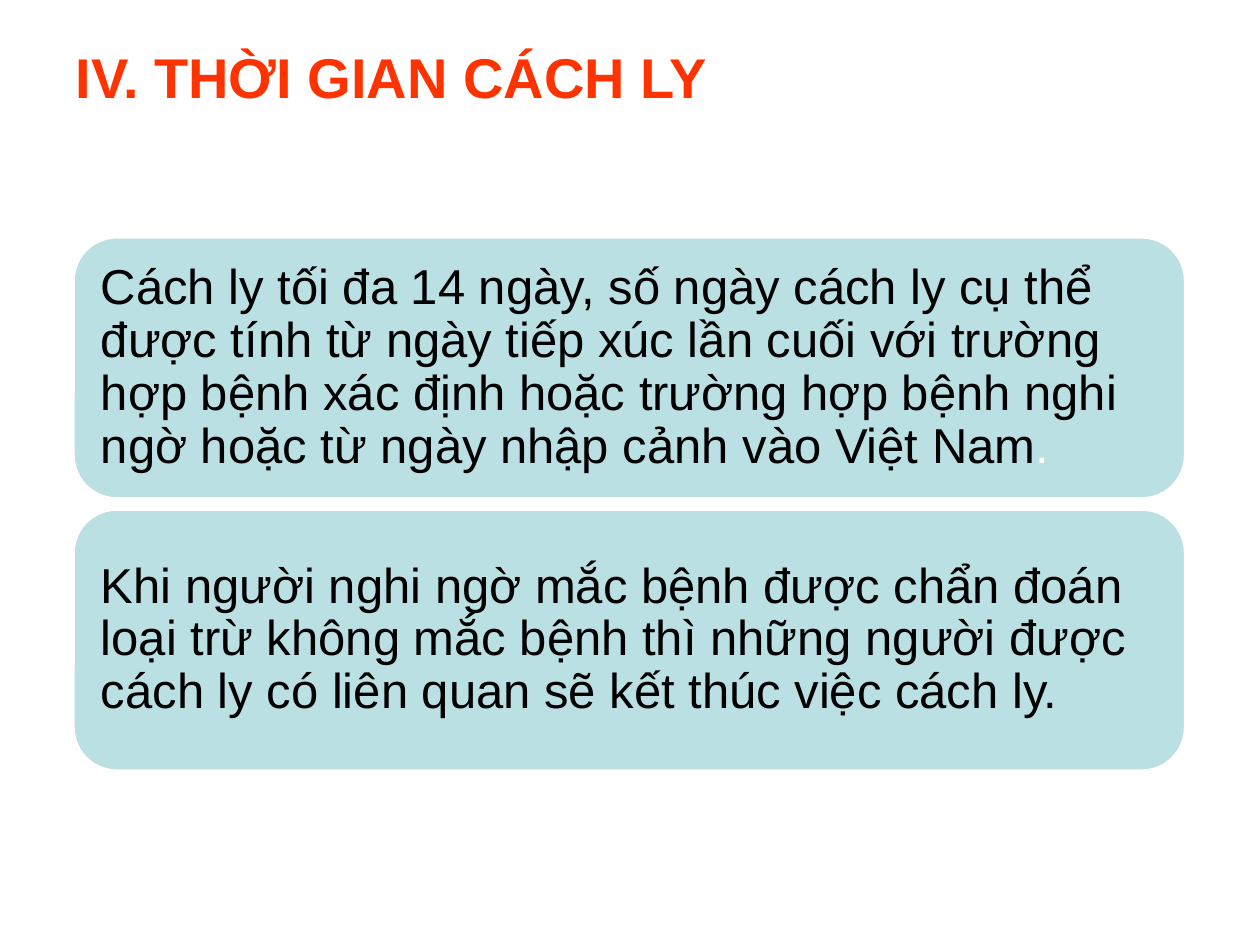
from dataclasses import dataclass

from pptx import Presentation
from pptx.dml.color import RGBColor
from pptx.enum.shapes import MSO_SHAPE
from pptx.enum.text import MSO_ANCHOR, PP_ALIGN
from pptx.util import Inches, Pt


@dataclass(frozen=True)
class Theme:
    """Colours, type sizes and font of the slide."""
    font: str = "Arial"
    heading: str = "FF3300"
    ink: str = "000000"
    panel: str = "BBE0E3"
    white: str = "FFFFFF"
    heading_size: int = 32
    body_size: int = 28
    outline: int = 2


THEME = Theme()
TITLE = "IV. THỜI GIAN CÁCH LY"
PANELS = [
    [("Cách ly tối đa 14 ngày, số ngày cách ly cụ thể được tính từ ngày tiếp xúc "
      "lần cuối với trường hợp bệnh xác định hoặc trường hợp bệnh nghi ngờ hoặc "
      "từ ngày nhập cảnh vào Việt Nam", THEME.ink), (".", THEME.white)],
    [("Khi người nghi ngờ mắc bệnh được chẩn đoán loại trừ không mắc bệnh thì "
      "những người được cách ly có liên quan sẽ kết thúc việc cách ly.", THEME.ink)],
]


def add_span(para, text, size, color, bold=False):
    """Append one formatted run to a paragraph."""
    span = para.add_run()
    span.text = text
    span.font.name = THEME.font
    span.font.size = Pt(size)
    span.font.bold = bold
    span.font.color.rgb = RGBColor.from_string(color)


def place_title(page, left, top, width, height):
    """Place the heading in the title placeholder."""
    title = page.shapes.title
    title.left, title.top = Inches(left), Inches(top)
    title.width, title.height = Inches(width), Inches(height)
    frame = title.text_frame
    frame.word_wrap = True
    frame.vertical_anchor = MSO_ANCHOR.TOP
    frame.margin_top = Inches(0.04)
    para = frame.paragraphs[0]
    para.alignment = PP_ALIGN.LEFT
    add_span(para, TITLE, THEME.heading_size, THEME.heading, bold=True)


def place_panel(page, spans, left, top, width, height):
    """Draw one rounded panel with its statement."""
    panel = page.shapes.add_shape(MSO_SHAPE.ROUNDED_RECTANGLE, Inches(left),
                                  Inches(top), Inches(width), Inches(height))
    panel.shadow.inherit = False
    panel.fill.solid()
    panel.fill.fore_color.rgb = RGBColor.from_string(THEME.panel)
    panel.line.color.rgb = RGBColor.from_string(THEME.white)
    panel.line.width = Pt(THEME.outline)
    frame = panel.text_frame
    frame.word_wrap = True
    frame.vertical_anchor = MSO_ANCHOR.MIDDLE
    frame.margin_left = frame.margin_right = Inches(0.12)
    frame.margin_top = frame.margin_bottom = Inches(0.12)
    para = frame.paragraphs[0]
    para.alignment = PP_ALIGN.LEFT
    para.line_spacing = 0.9
    for text, color in spans:
        add_span(para, text, THEME.body_size, color)


def place_panels(page, left, top, width, height, gap=0.08):
    """Stack equal panels in the given box."""
    panel_height = (height - gap * (len(PANELS) - 1)) / len(PANELS)
    for index, spans in enumerate(PANELS):
        place_panel(page, spans, left, top + index * (panel_height + gap),
                    width, panel_height)


def main():
    """Build and save the deck."""
    deck = Presentation()
    deck.slide_width, deck.slide_height = Inches(10), Inches(7.5)
    page = deck.slides.add_slide(deck.slide_layouts.get_by_name("Title Only"))
    place_title(page, 0.5, 0.3, 9, 1.25)
    place_panels(page, 0.58, 1.88, 8.83, 4.24)
    deck.save("out.pptx")


main()
